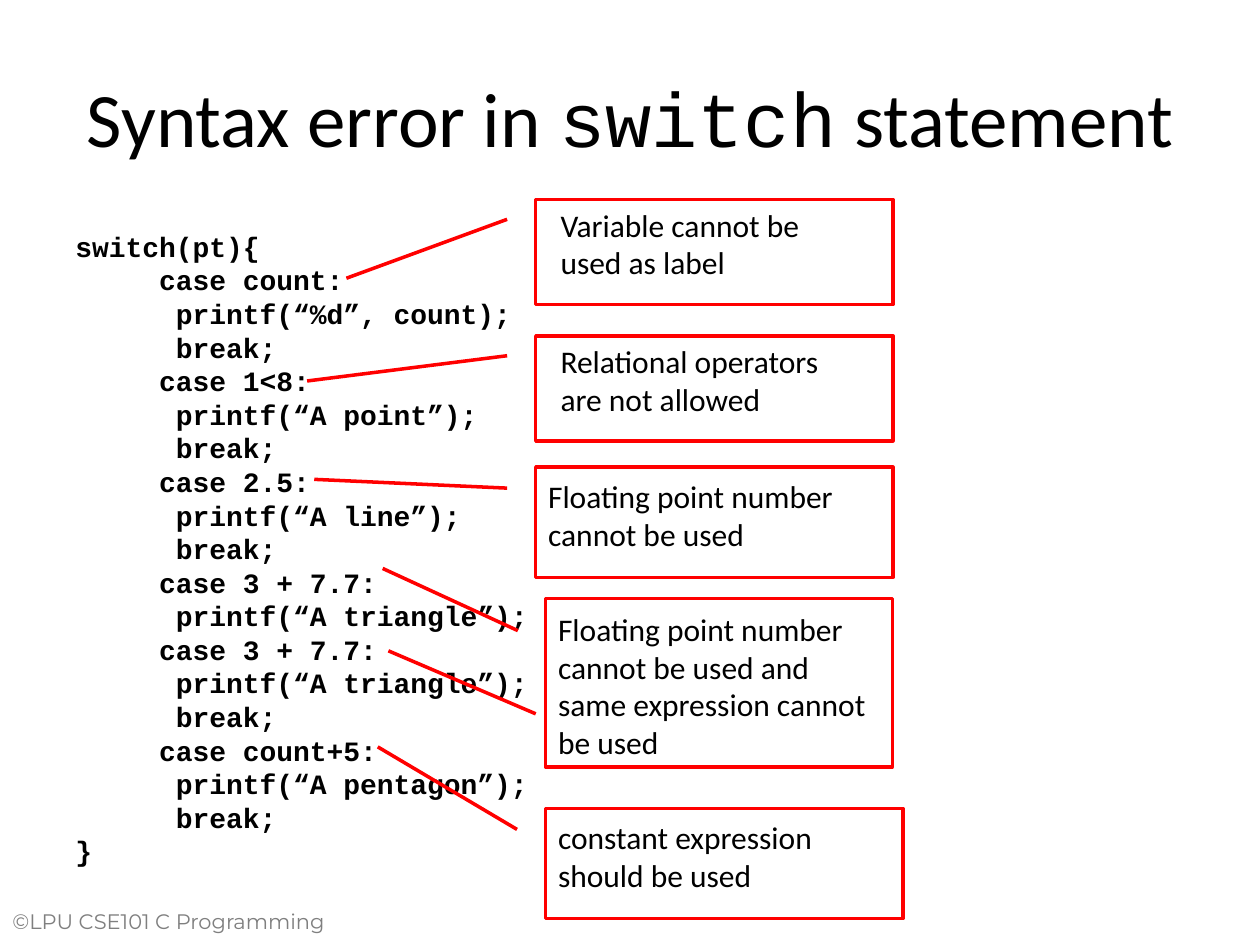
from dataclasses import dataclass

from lxml import etree
from pptx import Presentation
from pptx.dml.color import RGBColor
from pptx.enum.shapes import MSO_CONNECTOR, MSO_SHAPE
from pptx.enum.text import MSO_ANCHOR, PP_ALIGN
from pptx.oxml.ns import qn
from pptx.util import Cm, Pt

CALLOUT = MSO_SHAPE.LINE_CALLOUT_1
STRAIGHT = MSO_CONNECTOR.STRAIGHT
MIDDLE = MSO_ANCHOR.MIDDLE
TOP = MSO_ANCHOR.TOP
CENTER = PP_ALIGN.CENTER


@dataclass(frozen=True)
class Theme:
    """Colours, fonts and sizes used on the slide."""
    ink: RGBColor = RGBColor(0, 0, 0)
    accent: RGBColor = RGBColor(255, 0, 0)
    muted: RGBColor = RGBColor(0x7F, 0x7F, 0x7F)
    body: str = "Calibri"
    mono: str = "Courier New"
    brand: str = "Montserrat"
    title_size: Pt = Pt(44)
    note_size: Pt = Pt(18)
    code_size: Pt = Pt(16)
    footer_size: Pt = Pt(12)
    code_pitch: Pt = Pt(19.2)
    line_width: Pt = Pt(2)


T = Theme()

TITLE = [("Syntax error in ", T.body), ("switch", T.mono), (" statement", T.body)]

CODE = """switch(pt){
     case count:
      printf(“%d”, count);
      break;
     case 1<8:
      printf(“A point”);
      break;
     case 2.5:
      printf(“A line”);
      break;
     case 3 + 7.7:
      printf(“A triangle”);
     case 3 + 7.7:
      printf(“A triangle”);
      break;
     case count+5:
      printf(“A pentagon”);
      break;
}"""

CALLOUTS = [
    ("Variable cannot be used as label",
     (10.8, 4.02, 7.2, 2.12), (11.05, 4.02, 5.95, 1.78), (0.75, -0.53)),
    ("Relational operators are not allowed",
     (10.8, 6.77, 7.2, 2.12), (11.05, 6.77, 5.95, 1.78), (0.43, -0.64)),
    ("Floating point number cannot be used",
     (10.8, 9.42, 7.2, 2.22), (10.8, 9.5, 7.2, 1.78), (0.11, -0.62)),
    ("Floating point number cannot be used and same expression cannot be used",
     (11, 12.07, 6.99, 3.39), (11, 12.17, 6.99, 3.3), (-0.18, -0.47)),
    ("constant expression should be used",
     (11, 16.3, 7.2, 2.22), (11, 16.36, 7.2, 1.78), (-0.56, -0.47)),
]
POINTER_START = (0.19, -0.08)


def set_attrs(target, **values):
    """Set each named value on the target."""
    for name, value in values.items():
        setattr(target, name, value)


def style_font(font, color=T.ink, **values):
    """Format a font from a colour and named values."""
    set_attrs(font, **values)
    font.color.rgb = color


def style_line(line):
    """Give a line the accent colour and width."""
    line.color.rgb = T.accent
    line.width = T.line_width


def add_title(s):
    """Place and fill the title placeholder."""
    sp = s.shapes.title
    box = {"left": Cm(1.27), "top": Cm(0.76), "width": Cm(22.86), "height": Cm(3.18)}
    set_attrs(sp, **box)
    tf = sp.text_frame
    set_attrs(tf, vertical_anchor=MIDDLE, word_wrap=True)
    p = tf.paragraphs[0]
    p.alignment = CENTER
    for text, face in TITLE:
        r = p.add_run()
        r.text = text
        style_font(r.font, name=face, size=T.title_size)


def add_text(shapes, text, box, pitch=None, **font):
    """Add a wrapped text box with one paragraph per line of text."""
    tf = shapes.add_textbox(*map(Cm, box)).text_frame
    set_attrs(tf, word_wrap=True, vertical_anchor=TOP)
    tf.text = text
    for p in tf.paragraphs:
        p.line_spacing = pitch
        for r in p.runs:
            style_font(r.font, **font)


def add_callout(s, text, frame, text_box, pointer_end):
    """Add a grouped callout outline and its note."""
    grp = s.shapes.add_group_shape()
    sp = grp.shapes.add_shape(CALLOUT, *map(Cm, frame))
    sp.shadow.inherit = False
    sp.fill.background()
    style_line(sp.line)
    for i, value in enumerate(POINTER_START + pointer_end):
        sp.adjustments[i] = value
    add_text(grp.shapes, text, text_box, name=T.body, size=T.note_size)


def add_line(s, *ends):
    """Add a straight accent line without shadow."""
    cxn = s.shapes.add_connector(STRAIGHT, *map(Cm, ends))
    style_line(cxn.line)
    etree.SubElement(cxn._element.spPr, qn("a:effectLst"))


def main():
    """Build and save the slide."""
    prs = Presentation()
    set_attrs(prs, slide_width=Cm(25.4), slide_height=Cm(19.05))
    s = prs.slides.add_slide(prs.slide_layouts[5])
    add_text(s.shapes, "©LPU CSE101 C Programming", (0, 18.2, 7.62, 1.07),
             name=T.brand, size=T.footer_size, color=T.muted)
    add_title(s)
    add_text(s.shapes, CODE, (1.27, 4.5, 22.86, 13.77), pitch=T.code_pitch,
             name=T.mono, size=T.code_size, bold=True)
    for callout in CALLOUTS:
        add_callout(s, *callout)
    add_line(s, 7.83, 13.12, 10.8, 14.39)
    prs.save("out.pptx")


if __name__ == "__main__":
    main()
